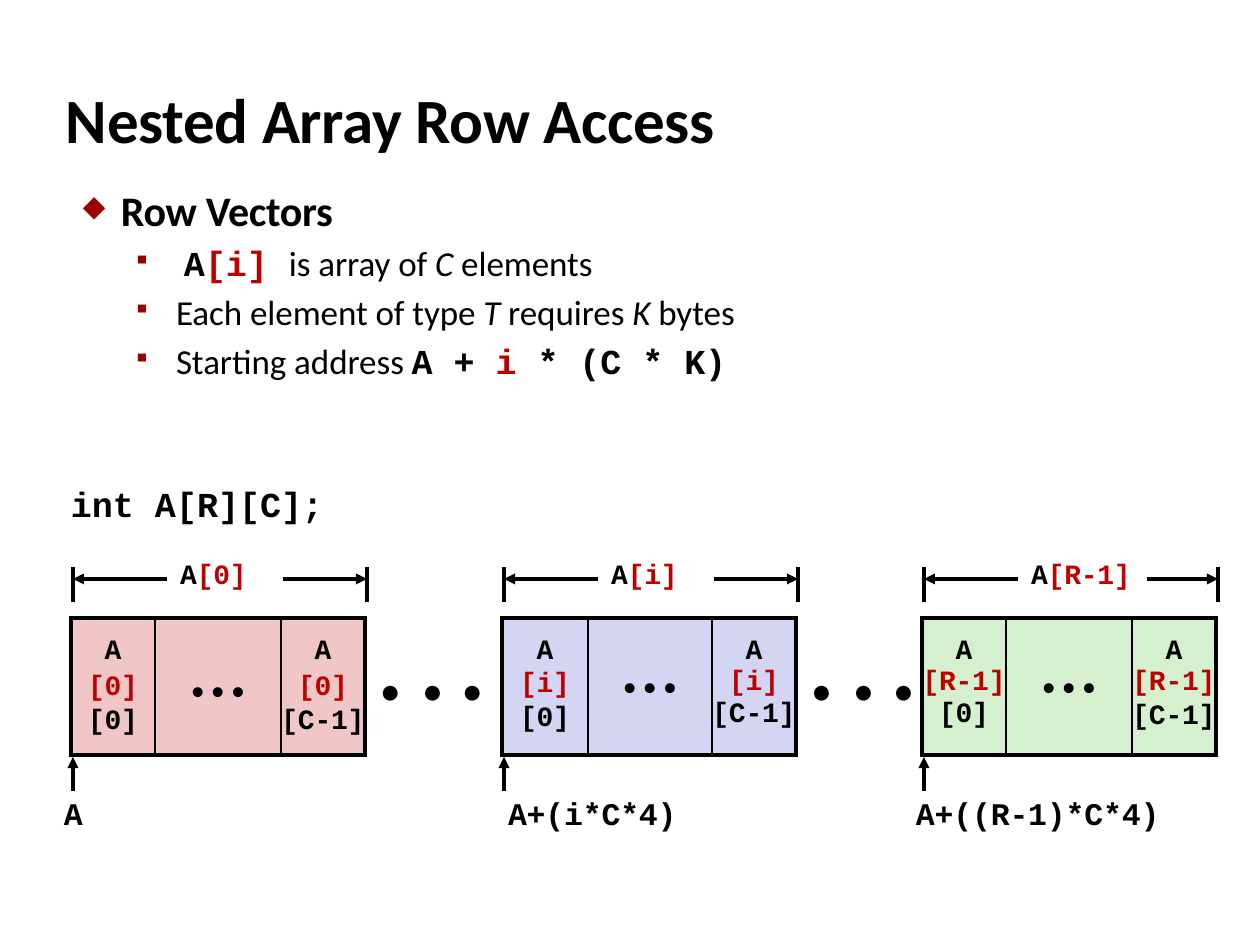
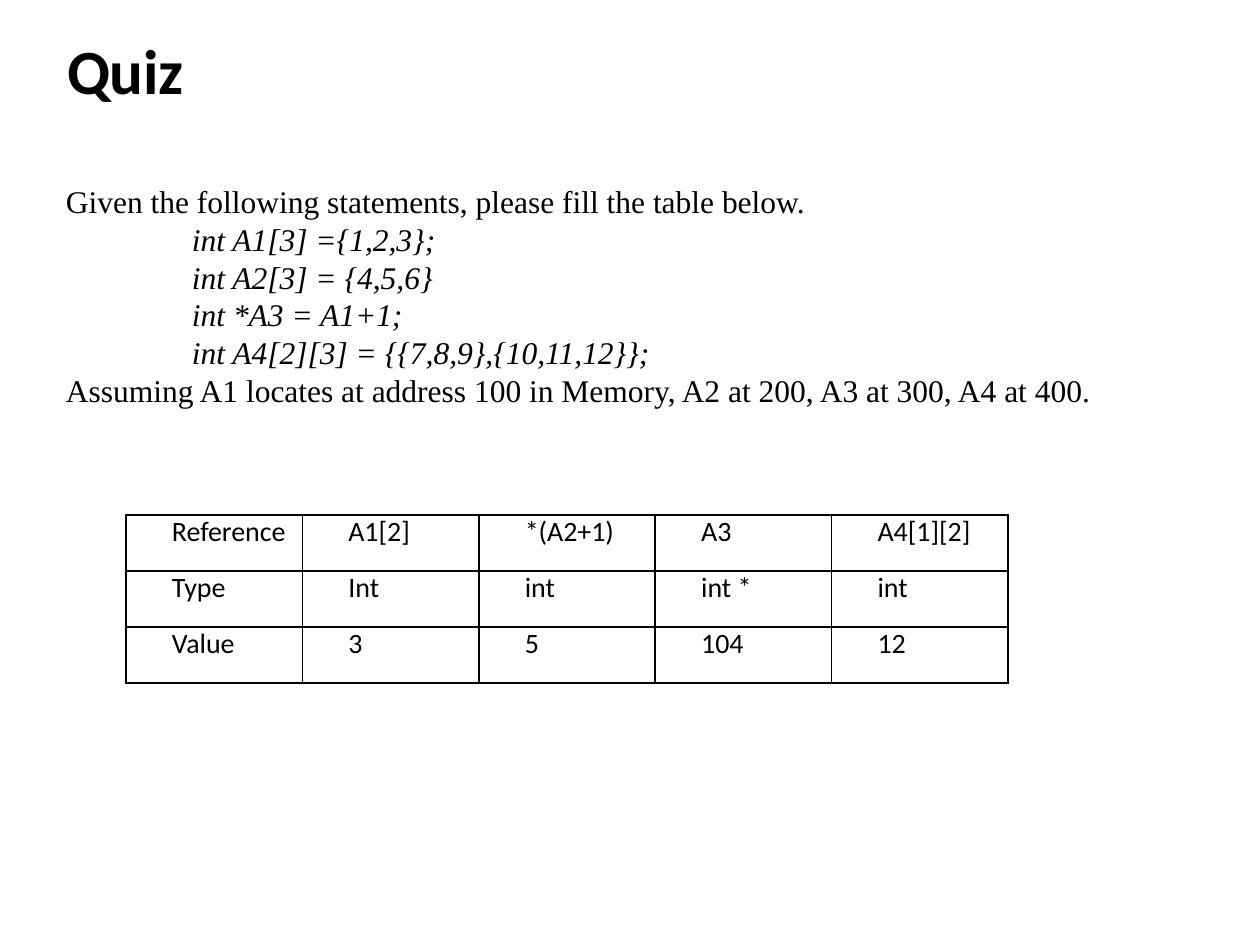
from dataclasses import dataclass
from typing import NamedTuple

from lxml import etree
from pptx import Presentation
from pptx.dml.color import RGBColor
from pptx.enum.shapes import MSO_CONNECTOR
from pptx.enum.text import MSO_ANCHOR, MSO_AUTO_SIZE, PP_ALIGN
from pptx.oxml.ns import qn
from pptx.util import Emu, Pt

PX_PER_INCH = 126
SLIDE_WIDTH, SLIDE_HEIGHT = 1260, 945
TITLE_ONLY = 5

LEFT, CENTER = PP_ALIGN.LEFT, PP_ALIGN.CENTER
TOP, MIDDLE = MSO_ANCHOR.TOP, MSO_ANCHOR.MIDDLE
NO_AUTOFIT = MSO_AUTO_SIZE.NONE
STRAIGHT = MSO_CONNECTOR.STRAIGHT

SANS, MONO, SERIF = "Calibri", "Courier New", "Times New Roman"
BLACK, INDEX_RED, BULLET_RED = "000000", "BF0000", "990000"
PINK, LAVENDER, GREEN = "F0C6C6", "D4D4F3", "D4F0CE"

BLOCK_TOP, BLOCK_WIDTH = 618, 294
OUTER_BORDER, INNER_BORDER = 2.25, 1
LINE_WIDTH = 2.1


class Run(NamedTuple):
    text: str
    font: str | None = None
    color: str | None = None
    bold: bool | None = None
    italic: bool | None = None


@dataclass(frozen=True)
class Style:
    size: float
    font: str = SANS
    color: str = BLACK
    bold: bool = False
    italic: bool = False
    spacing: int = 0  # hundredths of a point between letters
    align: PP_ALIGN = LEFT
    line_points: float | None = None
    space_before: float = 0


class Line(NamedTuple):
    style: Style
    runs: tuple[Run, ...]


@dataclass(frozen=True)
class Bullet:
    symbol: str
    indent: int
    hanging: int


@dataclass(frozen=True)
class RowBlock:
    """One row of the nested array; each cell holds a tuple of lines."""
    left: int
    index: str
    fill: str
    right_arrow: int
    address: str
    address_left: int
    widths: tuple[int, ...]
    heights: tuple[int, ...]
    cells: tuple
    merged_foot: int = 0  # height of an unfilled merged last row


TITLE = Style(36, bold=True, spacing=-20)
CODE_16 = Style(16, MONO, bold=True, spacing=-10)
CODE_18 = Style(18, MONO, bold=True, spacing=-10)
CODE_20 = Style(20, MONO, bold=True)
CELL = Style(16, MONO, bold=True, spacing=-10, align=CENTER)
CELL_TIGHT = Style(16, MONO, bold=True, spacing=-10, align=CENTER, line_points=17.1)
CELL_LOOSE = Style(16, MONO, bold=True, spacing=-10, align=CENTER, line_points=19.1)
CELL_DOTS = Style(16, align=CENTER)
GAP_DOTS = Style(24)
HEADING = Style(24, bold=True, spacing=-20)
POINT = Style(20, spacing=-5, space_before=4)
QUIZ_TEXT = Style(18, SERIF, line_points=21.6)
QUIZ_CODE = Style(18, SERIF, italic=True, line_points=21.6)
QUIZ_CELL = Style(16)


def cell_line(style: Style, text: str, red: str = "", tail: str = "") -> Line:
    runs = (Run(text), Run(red, color=INDEX_RED), Run(tail))
    return Line(style, tuple(run for run in runs if run.text))


NAME = cell_line(CELL, "A")
DOTS = (cell_line(CELL_DOTS, "• • •"),)
TIGHT_INDEX = (cell_line(CELL_TIGHT, "", "[0]"),)

ROW_BLOCKS = (
    RowBlock(71, "[0]", PINK, 84, "A", 64, (84, 126, 84), (56, 34, 47), (
        ((NAME,), (), (NAME,)),
        (TIGHT_INDEX, DOTS, TIGHT_INDEX),
        ((cell_line(CELL_TIGHT, "[0]"),), (), (cell_line(CELL_TIGHT, "[C-1]"),)))),
    RowBlock(502, "[i]", LAVENDER, 84, "A+(i*C*4)", 508, (86, 124, 84), (137,), ((
        (NAME, cell_line(CELL_LOOSE, "", "[i]"), cell_line(CELL_LOOSE, "[0]")),
        DOTS,
        (NAME, cell_line(CELL, "", "[i] ", "[C-1]"))),), merged_foot=33),
    RowBlock(922, "[R-1]", GREEN, 71, "A+((R-1)*C*4)", 916, (84, 126, 84), (137,), ((
        (cell_line(CELL, "A ", "[R-1] ", "[0]"),),
        DOTS,
        (cell_line(CELL, "A ", "[R-1]"), cell_line(CELL_LOOSE, "[C-1]"))),)),
)
GAP_DOT_LEFTS = (380, 811)

HEADING_BULLET = Bullet("◆", 52, 38)
POINTS = (
    (Bullet("▪", 115, 51), (
        Run("A", MONO, bold=True), Run("[i] ", MONO, INDEX_RED, True),
        Run("is array of "), Run("C ", italic=True), Run("elements"))),
    (Bullet("▪", 107, 43), (
        Run("Each element of type "), Run("T ", italic=True), Run("requires "),
        Run("K ", italic=True), Run("bytes"))),
    (Bullet("▪", 107, 43), (
        Run("Starting address "), Run("A + ", MONO, bold=True),
        Run("i ", MONO, INDEX_RED, True), Run("* (C * K)", MONO, bold=True))),
)

QUIZ_STATEMENTS = (
    "int A1[3] ={1,2,3};",
    "int A2[3] = {4,5,6}",
    "int *A3 = A1+1;",
    "int A4[2][3] = {{7,8,9},{10,11,12}};",
)
QUIZ_ROWS = (
    ("Reference", "A1[2]", "*(A2+1)", "A3", "A4[1][2]"),
    ("Type", "Int", "int", "int *", "int"),
    ("Value", "3", "5", "104", "12"),
)


def px(length: int) -> Emu:
    return Emu(round(length * 914400 / PX_PER_INCH))


def rgb(color: str) -> RGBColor:
    return RGBColor.from_string(color)


def add_xml(parent, tag: str, **attributes):
    return etree.SubElement(parent, qn(tag), {k: str(v) for k, v in attributes.items()})


def set_bullet(paragraph, bullet: Bullet) -> None:
    properties = paragraph._p.get_or_add_pPr()
    properties.set("marL", str(px(bullet.indent)))
    properties.set("indent", str(px(-bullet.hanging)))
    add_xml(add_xml(properties, "a:buClr"), "a:srgbClr", val=BULLET_RED)
    add_xml(properties, "a:buSzPct", val=70000)
    add_xml(properties, "a:buChar", char=bullet.symbol)


def set_tabs(paragraph, *positions: int) -> None:
    tabs = add_xml(paragraph._p.get_or_add_pPr(), "a:tabLst")
    for position in positions:
        add_xml(tabs, "a:tab", pos=px(position), algn="l")


def write(paragraph, style: Style, *runs: Run) -> None:
    """Add the runs and set what they share on the paragraph."""
    paragraph.alignment = style.align
    if style.line_points:
        paragraph.line_spacing = Pt(style.line_points)
    if style.space_before:
        paragraph.space_before = Pt(style.space_before)
    font = paragraph.font
    font.size, font.name = Pt(style.size), style.font
    font.bold, font.italic = style.bold, style.italic
    font.color.rgb = rgb(style.color)
    if style.spacing:
        font._rPr.set("spc", str(style.spacing))
    for item in runs:
        run = paragraph.add_run()
        run.text = item.text
        if item.font:
            run.font.name = item.font
        if item.color:
            run.font.color.rgb = rgb(item.color)
        if item.bold is not None:
            run.font.bold = item.bold
        if item.italic is not None:
            run.font.italic = item.italic


def clear_margins(frame) -> None:
    frame.margin_left = frame.margin_right = frame.margin_top = frame.margin_bottom = 0


def add_text_frame(slide, left: int, top: int, width: int, height: int):
    frame = slide.shapes.add_textbox(px(left), px(top), px(width), px(height)).text_frame
    frame.word_wrap = True
    clear_margins(frame)
    return frame


def add_label(slide, left: int, top: int, width: int, style: Style, *runs: Run) -> None:
    write(add_text_frame(slide, left, top, width, 42).paragraphs[0], style, *runs)


def add_titled_slide(presentation, title: str, left: int, top: int):
    slide = presentation.slides.add_slide(presentation.slide_layouts[TITLE_ONLY])
    shape = slide.shapes.title
    shape.left, shape.top, shape.width, shape.height = px(left), px(top), px(680), px(79)
    frame = shape.text_frame
    clear_margins(frame)
    frame.auto_size, frame.vertical_anchor = NO_AUTOFIT, TOP
    write(frame.paragraphs[0], TITLE, Run(title))
    return slide


def add_line(slide, x1: int, y1: int, x2: int, y2: int, arrow: bool = False) -> None:
    """Draw a line, with an arrowhead at its second point if asked."""
    connector = slide.shapes.add_connector(STRAIGHT, px(x1), px(y1), px(x2), px(y2))
    connector.line.color.rgb = rgb(BLACK)
    connector.line.width = Pt(LINE_WIDTH)
    if arrow:
        add_xml(connector.line._get_or_add_ln(), "a:tailEnd", type="triangle")
    add_xml(connector._element.spPr, "a:effectLst")


def add_plain_table(slide, rows: int, columns: int, left: int, top: int,
                    width: int, height: int):
    table = slide.shapes.add_table(rows, columns, px(left), px(top),
                                   px(width), px(height)).table
    table.first_row = table.horz_banding = False
    return table


def format_cell(cell, left: float, right: float, top: float, bottom: float,
                fill: str | None = None) -> None:
    """Clear margins, set border widths in points (0 for none), then the fill."""
    clear_margins(cell)
    properties = cell._tc.get_or_add_tcPr()
    for tag, width in (("a:lnL", left), ("a:lnR", right), ("a:lnT", top), ("a:lnB", bottom)):
        line = add_xml(properties, tag, w=Pt(width))
        if width:
            add_xml(add_xml(line, "a:solidFill"), "a:srgbClr", val=BLACK)
        else:
            add_xml(line, "a:noFill")
    if fill:
        cell.fill.solid()
        cell.fill.fore_color.rgb = rgb(fill)
    else:
        cell.fill.background()


def add_block_table(slide, block: RowBlock) -> None:
    heights = block.heights + ((block.merged_foot,) if block.merged_foot else ())
    table = add_plain_table(slide, len(heights), 3, block.left, BLOCK_TOP,
                            BLOCK_WIDTH, sum(heights))
    for column, width in zip(table.columns, block.widths):
        column.width = px(width)
    for row, height in zip(table.rows, heights):
        row.height = px(height)
    sides = (OUTER_BORDER, INNER_BORDER, INNER_BORDER, OUTER_BORDER)
    edges = (OUTER_BORDER, *[0] * (len(block.cells) - 1), OUTER_BORDER)
    for row, contents in enumerate(block.cells):
        for column, lines in enumerate(contents):
            cell = table.cell(row, column)
            format_cell(cell, *sides[column:column + 2], *edges[row:row + 2], block.fill)
            if lines == DOTS:
                cell.vertical_anchor = MIDDLE
            elif row == 0:
                cell.margin_top = px(18)
            frame = cell.text_frame
            for number, line in enumerate(lines):
                paragraph = frame.add_paragraph() if number else frame.paragraphs[0]
                write(paragraph, line.style, *line.runs)
    if block.merged_foot:
        last = len(heights) - 1
        for column in range(3):
            format_cell(table.cell(last, column), 0, 0, OUTER_BORDER, 0)
        table.cell(last, 0).merge(table.cell(last, 2))


def add_row_block(slide, block: RowBlock) -> None:
    start = block.left + 2
    end = start + BLOCK_WIDTH
    add_block_table(slide, block)
    for tick in (start, end):
        add_line(slide, tick, 567, tick, 602)
    add_line(slide, start + 94, 579, start, 579, arrow=True)
    add_line(slide, end - block.right_arrow, 579, end, 579, arrow=True)
    add_label(slide, block.left + 109, 557, 110, CODE_16,
              Run("A"), Run(block.index, color=INDEX_RED))
    add_line(slide, start, 791, start, 757, arrow=True)
    add_label(slide, block.address_left, 794, 270, CODE_18, Run(block.address))


def add_row_access_slide(presentation) -> None:
    slide = add_titled_slide(presentation, "Nested Array Row Access", 66, 80)
    frame = add_text_frame(slide, 69, 184, 700, 210)
    set_bullet(frame.paragraphs[0], HEADING_BULLET)
    write(frame.paragraphs[0], HEADING, Run("Row Vectors"))
    for bullet, runs in POINTS:
        paragraph = frame.add_paragraph()
        set_bullet(paragraph, bullet)
        write(paragraph, POINT, *runs)
    add_label(slide, 71, 482, 300, CODE_20, Run("int A[R][C];"))
    for block in ROW_BLOCKS:
        add_row_block(slide, block)
    for left in GAP_DOT_LEFTS:
        dots = add_text_frame(slide, left, 664, 105, 54).paragraphs[0]
        set_tabs(dots, 42, 82)
        write(dots, GAP_DOTS, Run("•\t•\t•"))


def add_quiz_slide(presentation) -> None:
    slide = add_titled_slide(presentation, "Quiz", 67, 32)
    frame = add_text_frame(slide, 66, 182, 1194, 280)
    write(frame.paragraphs[0], QUIZ_TEXT,
          Run("Given the following statements, please fill the table below."))
    for statement in QUIZ_STATEMENTS:
        paragraph = frame.add_paragraph()
        paragraph._p.get_or_add_pPr().set("marL", str(px(126)))
        write(paragraph, QUIZ_CODE, Run(statement))
    write(frame.add_paragraph(), QUIZ_TEXT, Run(
        "Assuming A1 locates at address 100 in Memory, A2 at 200, A3 at 300, A4 at 400."))

    table = add_plain_table(slide, len(QUIZ_ROWS), len(QUIZ_ROWS[0]), 126, 515, 882, 168)
    for row, texts in enumerate(QUIZ_ROWS):
        for column, text in enumerate(texts):
            cell = table.cell(row, column)
            format_cell(cell, *[INNER_BORDER] * 4)
            cell.margin_left = px(46)
            write(cell.text_frame.paragraphs[0], QUIZ_CELL, Run(text))


def main() -> None:
    presentation = Presentation()
    presentation.slide_width, presentation.slide_height = px(SLIDE_WIDTH), px(SLIDE_HEIGHT)
    add_row_access_slide(presentation)
    add_quiz_slide(presentation)
    presentation.save("out.pptx")


if __name__ == "__main__":
    main()
